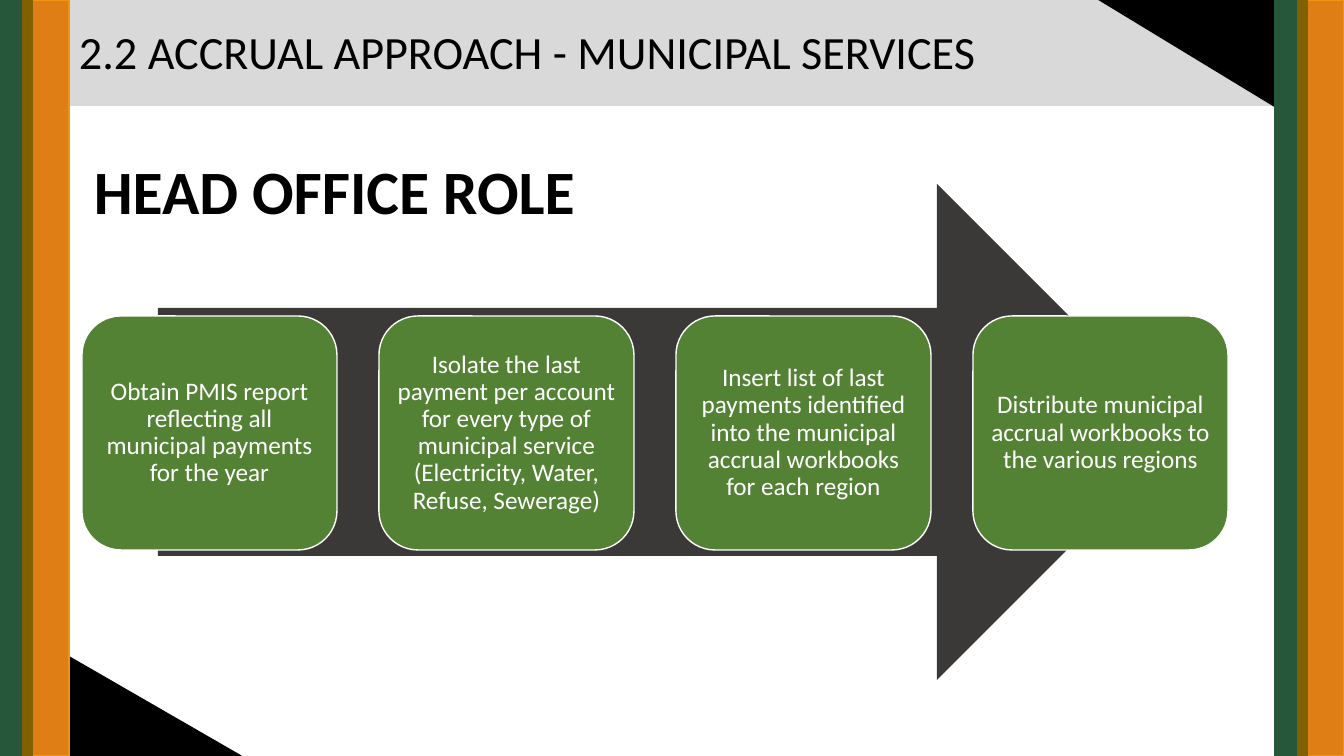
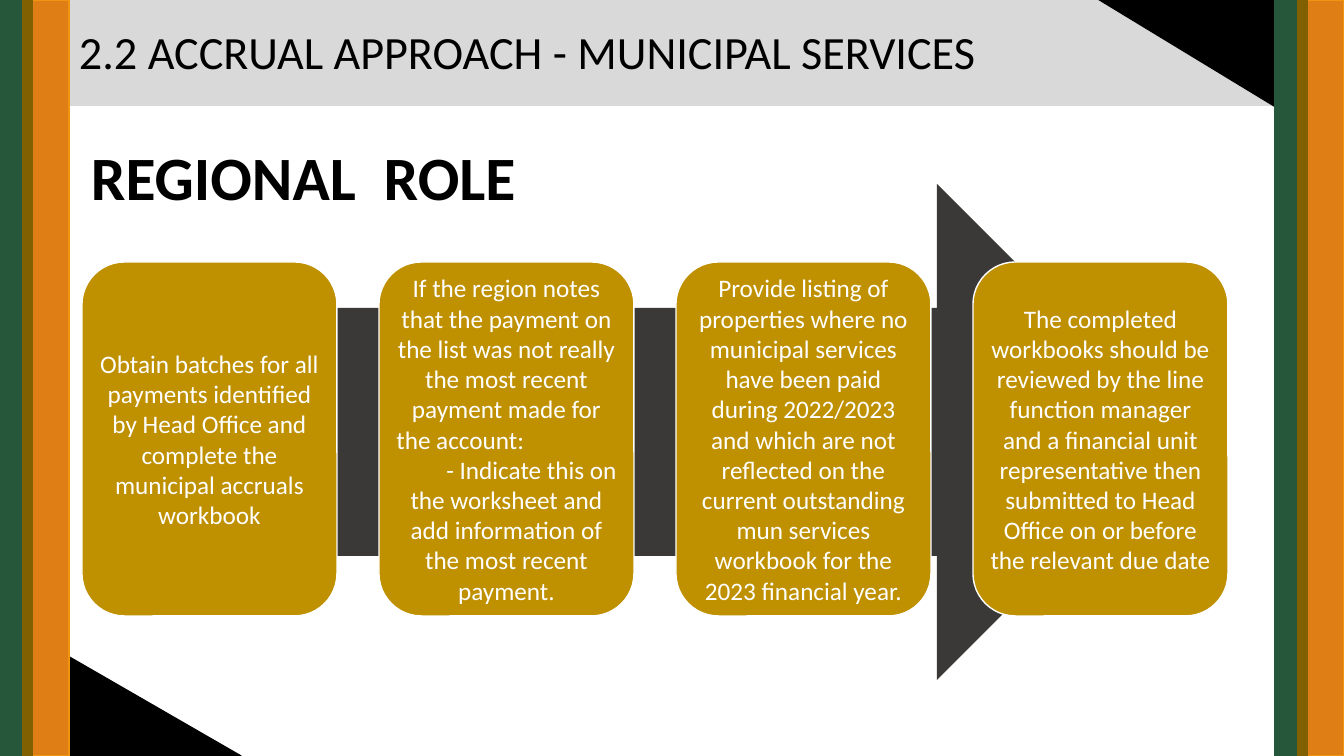
from pptx import Presentation, util as u
from pptx.dml.color import RGBColor
from pptx.enum import shapes, text

PX = 914400 / 100.8
WIDE, HIGH = 1344, 756
FONT = "Calibri"

BLACK = RGBColor(0x00, 0x00, 0x00)
WHITE = RGBColor(0xFF, 0xFF, 0xFF)
GREY = RGBColor(0xD9, 0xD9, 0xD9)
DARK = RGBColor(0x3B, 0x38, 0x38)
ORANGE = RGBColor(0xDE, 0x7E, 0x14)
AMBER = RGBColor(0xEF, 0x95, 0x11)
FOREST = RGBColor(0x27, 0x57, 0x3A)
BROWN = RGBColor(0x80, 0x60, 0x00)
GREEN = RGBColor(0x54, 0x82, 0x35)
GOLD = RGBColor(0xBF, 0x90, 0x00)

KIND = shapes.MSO_SHAPE
LEFT, MID, RIGHT = text.PP_ALIGN.LEFT, text.PP_ALIGN.CENTER, text.PP_ALIGN.RIGHT

TITLE = "2.2 ACCRUAL APPROACH - MUNICIPAL SERVICES"
CARD_LEFT, CARD_WIDE, CARD_STEP = 82, 255, 297

# Each card is a list of (text, alignment) paragraphs.
OFFICE = [
    [("Obtain PMIS report reflecting all municipal payments for the year", MID)],
    [("Isolate the last payment per account for every type of municipal "
      "service (Electricity, Water, Refuse, Sewerage)", MID)],
    [("Insert list of last payments identified into the municipal accrual "
      "workbooks for each region", MID)],
    [("Distribute municipal accrual workbooks to the various regions", MID)],
]
REGION = [
    [("Obtain batches for all payments identified by Head Office and complete "
      "the municipal accruals workbook", MID)],
    [("If the region notes that the payment on the list was not really the "
      "most recent payment made for", MID),
     ("the account:", LEFT),
     ("- Indicate this on", RIGHT),
     ("the worksheet and add information of the most recent payment.", MID)],
    [("Provide listing of properties where no municipal services have been "
      "paid during 2022/2023 and which are not reflected on the current "
      "outstanding mun services workbook for the 2023 financial year.", MID)],
    [("The completed workbooks should be reviewed by the line function manager "
      "and a financial unit representative then submitted to Head Office on or "
      "before the relevant due date", MID)],
]


def px(*sizes):
    """Turn pixels into EMU."""
    return [u.Emu(round(size * PX)) for size in sizes]


def add_form(slide, kind, box, fill, line=None):
    """Add a flat preset shape, with a 1 pt line if a line colour is given."""
    form = slide.shapes.add_shape(kind, *px(*box))
    form.shadow.inherit = False
    form.fill.solid()
    form.fill.fore_color.rgb = fill
    if line is None:
        form.line.fill.background()
    else:
        form.line.color.rgb = line
        form.line.width = u.Pt(1)
    return form


def write(frame, paras, size, color, bold=False, space=None):
    """Fill a text frame with (text, alignment) paragraphs."""
    frame.word_wrap = True
    for i, (words, align) in enumerate(paras):
        para = frame.add_paragraph() if i else frame.paragraphs[0]
        para.alignment = align
        para.line_spacing = space
        run = para.add_run()
        run.text = words
        font = run.font
        font.name, font.size, font.bold = FONT, u.Pt(size), bold
        font.color.rgb = color


def add_frame(slide):
    """Add the title band, the black corners and the side stripes."""
    band = add_form(slide, KIND.RECTANGLE, (69, -2, 1206, 107), GREY, GREY)
    band.text_frame.vertical_anchor = text.MSO_ANCHOR.MIDDLE
    write(band.text_frame, [(TITLE, LEFT)], 33, BLACK)
    add_form(slide, KIND.RIGHT_TRIANGLE, (0, 617, 241, 139), BLACK, BLACK)
    corner = add_form(slide, KIND.RIGHT_TRIANGLE, (1098, -1, 247, 150), BLACK, BLACK)
    corner.rotation = 180
    for left in (0, 1275):
        for shift, wide, fill, line in ((0, 69, ORANGE, AMBER),
                                        (0, 23, FOREST, FOREST),
                                        (23, 9, BROWN, BROWN)):
            add_form(slide, KIND.RECTANGLE, (left + shift, 0, wide, HIGH), fill, line)


def add_head(slide, words, left, top):
    """Add the bold heading."""
    box = slide.shapes.add_textbox(*px(left, top, 627, 85))
    box.text_frame.auto_size = text.MSO_AUTO_SIZE.SHAPE_TO_FIT_TEXT
    write(box.text_frame, [(words, LEFT)], 44, BLACK, bold=True)


def add_cards(slide, cards, top, high, fill, space):
    """Add the arrow and an even row of rounded cards over it."""
    add_form(slide, KIND.RIGHT_ARROW, (158, 184, 1027, 496), DARK)
    for i, paras in enumerate(cards):
        box = (CARD_LEFT + i * CARD_STEP, top, CARD_WIDE, high)
        card = add_form(slide, KIND.ROUNDED_RECTANGLE, box, fill, WHITE)
        frame = card.text_frame
        frame.vertical_anchor = text.MSO_ANCHOR.MIDDLE
        frame.margin_left, frame.margin_right = px(5, 5)
        frame.margin_top = frame.margin_bottom = 0
        write(frame, paras, 18, WHITE, space=space)


def main():
    """Build both role slides and save them."""
    deck = Presentation()
    deck.slide_width, deck.slide_height = px(WIDE, HIGH)
    roles = (
        (("HEAD OFFICE ROLE", 84, 148), (OFFICE, 316, 234, GREEN, 0.9)),
        (("REGIONAL  ROLE", 81, 134), (REGION, 262, 354, GOLD, 1.0)),
    )
    for head, row in roles:
        slide = deck.slides.add_slide(deck.slide_layouts[6])
        add_frame(slide)
        add_head(slide, *head)
        add_cards(slide, *row)
    deck.save("out.pptx")


main()
